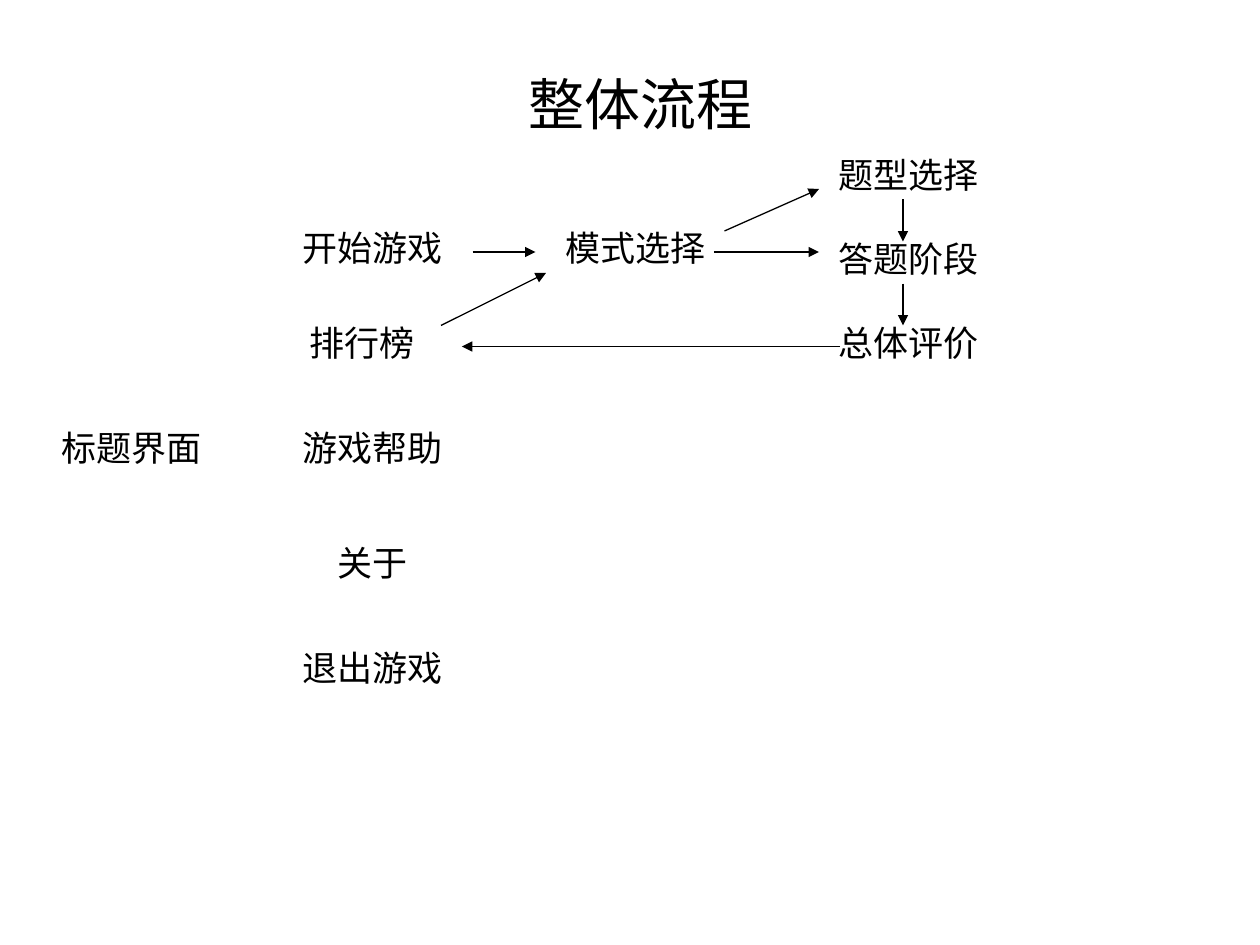
from dataclasses import dataclass

from pptx import Presentation
from pptx.dml.color import RGBColor
from pptx.enum.shapes import MSO_CONNECTOR
from pptx.enum.text import MSO_AUTO_SIZE, PP_ALIGN
from pptx.oxml.ns import qn
from pptx.util import Inches, Pt
from lxml.etree import SubElement


@dataclass(frozen=True)
class Theme:
    font: str = "Arial"
    ink: RGBColor = RGBColor(0, 0, 0)
    paper: RGBColor = RGBColor(255, 255, 255)
    title_size: int = 32
    label_size: int = 20
    line_width: float = 0.75


@dataclass(frozen=True)
class Box:
    column: float
    row: float
    columns: float
    rows: float

    def inner(self, column, row, columns, rows):
        return Box(self.column + column, self.row + row, columns, rows)


THEME = Theme()
UNITS_PER_INCH = 12
LABEL_COLUMNS, LABEL_ROWS = 25, 5.28


def grid(units):
    return Inches(units / UNITS_PER_INCH)


def add_text(page, text, box, size=THEME.label_size, color=THEME.ink, align=PP_ALIGN.CENTER):
    label = page.shapes.add_textbox(*map(grid, (box.column, box.row, box.columns, box.rows)))
    frame = label.text_frame
    frame.word_wrap = True
    frame.auto_size = MSO_AUTO_SIZE.SHAPE_TO_FIT_TEXT
    para = frame.paragraphs[0]
    para.alignment = align
    span = para.add_run()
    span.text = text
    span.font.name = THEME.font
    span.font.size = Pt(size)
    span.font.color.rgb = color


def add_label(page, text, box, column, row):
    add_text(page, text, box.inner(column, row, LABEL_COLUMNS, LABEL_ROWS))


def add_arrow(page, box, start, end):
    ends = [grid(units) for column, row in (start, end)
            for units in (box.column + column, box.row + row)]
    arrow = page.shapes.add_connector(MSO_CONNECTOR.STRAIGHT, *ends)
    arrow.line.color.rgb = THEME.ink
    arrow.line.width = Pt(THEME.line_width)
    properties = arrow.element.spPr
    SubElement(properties.find(qn("a:ln")), qn("a:tailEnd"), type="triangle")
    SubElement(properties, qn("a:effectLst"))


def draw_title(page, box):
    add_text(page, "整体流程", box, size=THEME.title_size)


def draw_menu(page, box):
    add_label(page, "标题界面", box, 0, 19)
    entries = [
        ("开始游戏", 23, 0),
        ("排行榜", 22, 9),
        ("游戏帮助", 23, 19),
        ("关于", 23, 30),
        ("退出游戏", 23, 40),
    ]
    for text, column, row in entries:
        add_label(page, text, box, column, row)


def draw_game_flow(page, box):
    stage_column, stage_step = 32, 8
    add_label(page, "模式选择", box, 6, 7)
    for index, text in enumerate(("题型选择", "答题阶段", "总体评价")):
        row = index * stage_step
        add_label(page, text, box, stage_column, row)
        if index:
            add_arrow(page, box, (stage_column + 12, row - 3), (stage_column + 12, row + 1))
    routes = [
        ((3, 10), (9, 10)),
        ((26, 10), (36, 10)),
        ((27, 8), (36, 4)),
        ((0, 17), (10, 12)),
        ((38, 19), (2, 19)),
    ]
    for start, end in routes:
        add_arrow(page, box, start, end)


def main():
    deck = Presentation()
    deck.slide_width, deck.slide_height = grid(120), grid(90)
    page = deck.slides.add_slide(deck.slide_layouts[6])
    page.background.fill.solid()
    page.background.fill.fore_color.rgb = THEME.paper
    draw_title(page, Box(35, 6, 52, 7.68))
    draw_menu(page, Box(0, 21, 48, 45.28))
    draw_game_flow(page, Box(42, 14, 57, 21.28))
    deck.save("out.pptx")


if __name__ == "__main__":
    main()
